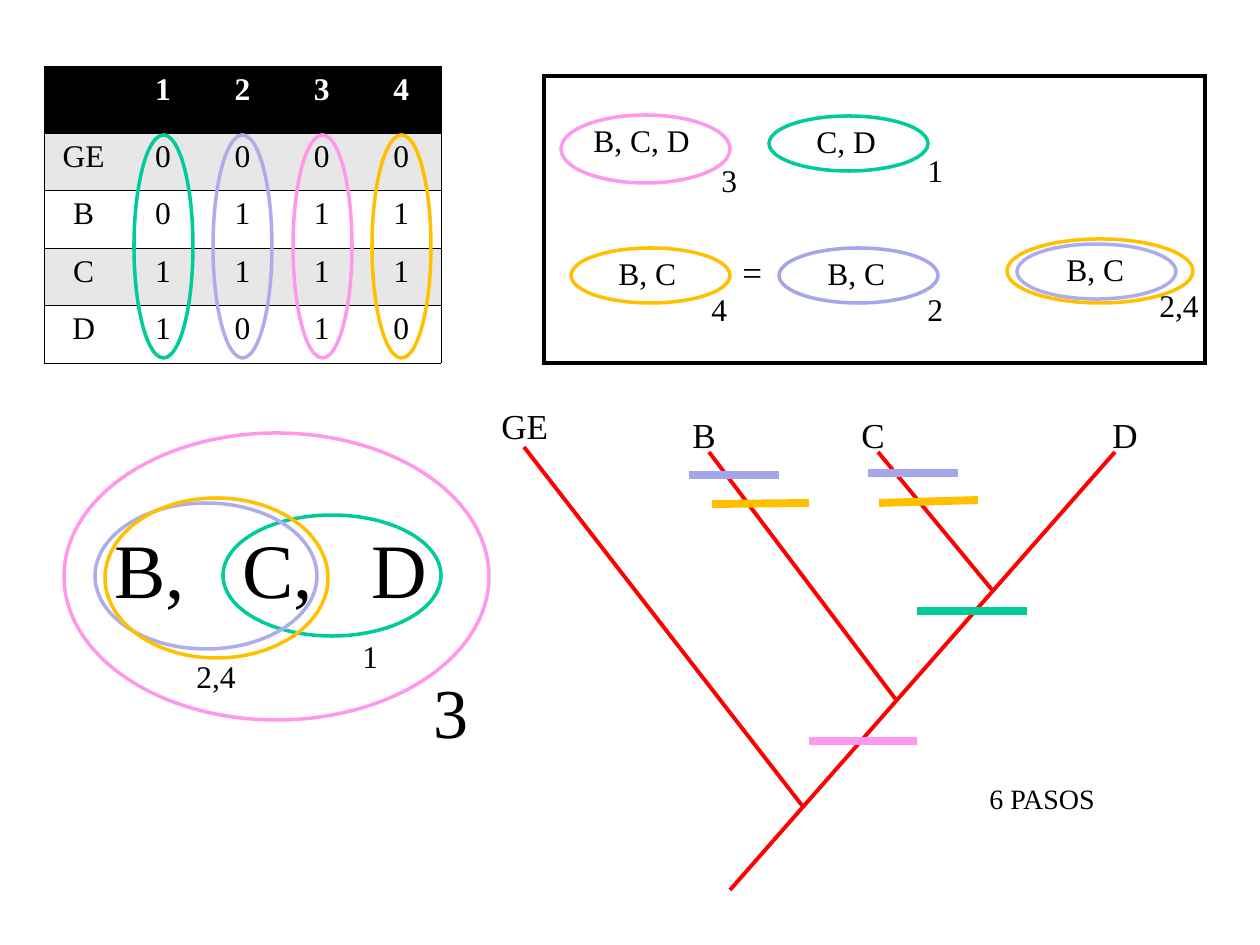
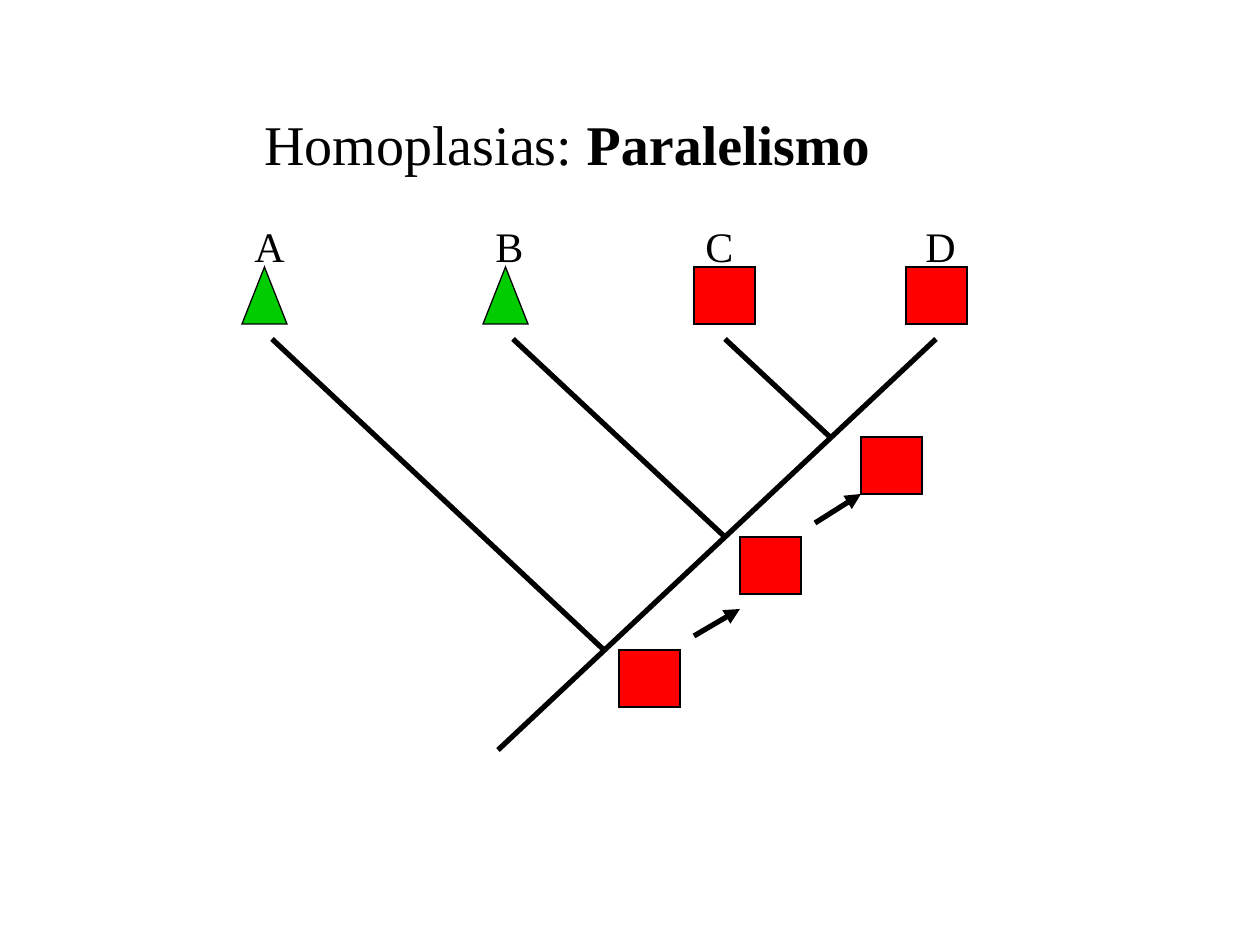
from lxml import etree
from pptx import Presentation
from pptx.dml.color import RGBColor
from pptx.enum.shapes import MSO_CONNECTOR, MSO_SHAPE
from pptx.enum.text import MSO_AUTO_SIZE, PP_ALIGN
from pptx.oxml.ns import qn
from pptx.util import Emu, Pt

PX = 914400 / 126
FONT = "Times New Roman"
NO_TABLE_STYLE = "{2D5ABB26-0587-4C30-8999-92F81FD0307C}"
TEXT_SLACK = 12

STRAIGHT = MSO_CONNECTOR.STRAIGHT
OVAL = MSO_SHAPE.OVAL
RECTANGLE = MSO_SHAPE.RECTANGLE
TRIANGLE = MSO_SHAPE.ISOSCELES_TRIANGLE
CENTER = PP_ALIGN.CENTER
FIXED_SIZE = MSO_AUTO_SIZE.NONE

BLACK = RGBColor(0x00, 0x00, 0x00)
WHITE = RGBColor(0xFF, 0xFF, 0xFF)
GRAY = RGBColor(0xE7, 0xE7, 0xE7)
RED = RGBColor(0xFF, 0x00, 0x00)
LEAF_GREEN = RGBColor(0x00, 0xCC, 0x00)
GREEN = RGBColor(0x00, 0xCC, 0x99)
LAVENDER = RGBColor(0xA5, 0xA5, 0xE9)
PALE_LAVENDER = RGBColor(0xAD, 0xAD, 0xEB)
PINK = RGBColor(0xFF, 0x98, 0xEC)
ORANGE = RGBColor(0xFF, 0xC0, 0x00)


def px(length):
    return Emu(round(length * PX))


def style_font(font, size, color=BLACK, bold=False):
    font.name = FONT
    font.size = Pt(size)
    font.bold = bold
    font.color.rgb = color


class Region:
    """Draws on a slide with positions relative to its own top left corner."""

    def __init__(self, slide, left, top):
        self.shapes = slide.shapes
        self.left = left
        self.top = top

    def place(self, x, y):
        return px(self.left + x), px(self.top + y)

    def shape(self, kind, box, line_color, line_width=2, fill=None):
        x, y, width, height = box
        shape = self.shapes.add_shape(kind, *self.place(x, y), px(width), px(height))
        shape.shadow.inherit = False
        if fill is None:
            shape.fill.background()
        else:
            shape.fill.solid()
            shape.fill.fore_color.rgb = fill
        shape.line.color.rgb = line_color
        shape.line.width = Pt(line_width)
        line = shape._element.spPr.find(qn("a:ln"))
        etree.SubElement(line, qn("a:miter"), lim="800000")

    def line(self, start, end, color, width, arrow=False):
        connector = self.shapes.add_connector(
            STRAIGHT, *self.place(*start), *self.place(*end))
        connector.line.color.rgb = color
        connector.line.width = Pt(width)
        properties = connector._element.spPr
        if arrow:
            line = properties.find(qn("a:ln"))
            etree.SubElement(line, qn("a:tailEnd"), type="triangle")
        etree.SubElement(properties, qn("a:effectLst"))

    def text(self, x, y, width, size, *runs, tabs=()):
        """Write runs, each a (text, bold) pair, in a box with room for one line."""
        text_box = self.shapes.add_textbox(
            *self.place(x, y), px(width + TEXT_SLACK), px(round(size * 2.1 + 13)))
        frame = text_box.text_frame
        frame.word_wrap = True
        frame.auto_size = FIXED_SIZE
        paragraph = frame.paragraphs[0]
        if tabs:
            tab_list = etree.SubElement(
                paragraph._p.get_or_add_pPr(), qn("a:tabLst"))
            for position in tabs:
                etree.SubElement(
                    tab_list, qn("a:tab"), pos=str(px(position)), algn="l")
        for words, bold in runs:
            run = paragraph.add_run()
            run.text = words
            style_font(run.font, size, bold=bold)

    def label(self, x, y, width, size, words):
        self.text(x, y, width, size, (words, False))


def set_cell_borders(cell, sides):
    properties = cell._tc.get_or_add_tcPr()
    for index, side in enumerate(sides):
        line = etree.Element(qn(f"a:ln{side}"), w=str(Pt(0.45)))
        fill = etree.SubElement(line, qn("a:solidFill"))
        etree.SubElement(fill, qn("a:srgbClr"), val=str(BLACK))
        properties.insert(index, line)


def draw_character_matrix(slide, left, top):
    region = Region(slide, left, top)
    rows = (
        ("", "1", "2", "3", "4"),
        ("GE", "0", "0", "0", "0"),
        ("B", "0", "1", "1", "1"),
        ("C", "1", "1", "1", "1"),
        ("D", "1", "0", "1", "0"),
    )
    row_heights = (67, 57, 58, 57, 58)
    width = 397
    columns = len(rows[0])
    table = region.shapes.add_table(
        len(rows), columns, *region.place(0, 0), px(width), px(sum(row_heights))).table
    table._tbl.tblPr.find(qn("a:tableStyleId")).text = NO_TABLE_STYLE

    for row_index, values in enumerate(rows):
        table.rows[row_index].height = px(row_heights[row_index])
        header = row_index == 0
        fill = BLACK if header else GRAY if row_index % 2 else WHITE
        for column, value in enumerate(values):
            cell = table.cell(row_index, column)
            cell.fill.solid()
            cell.fill.fore_color.rgb = fill
            sides = ["T", "B"]
            if column == 0:
                sides.insert(0, "L")
            elif column == columns - 1:
                sides.insert(0, "R")
            set_cell_borders(cell, sides)
            if value:
                paragraph = cell.text_frame.paragraphs[0]
                paragraph.alignment = CENTER
                run = paragraph.add_run()
                run.text = value
                style_font(run.font, 18, WHITE if header else BLACK, header)

    for column, color in enumerate((GREEN, PALE_LAVENDER, PINK, ORANGE), start=1):
        x = width * column // columns + 11
        region.shape(OVAL, (x, 69, 59, 223), color)


def draw_group_list(slide, left, top):
    region = Region(slide, left, top)
    region.shape(RECTANGLE, (0, 0, 661, 287), BLACK, fill=WHITE)
    for x, y, width, height, color in (
        (17, 39, 169, 68, PINK),
        (225, 40, 159, 55, GREEN),
        (27, 172, 159, 55, ORANGE),
        (235, 172, 159, 55, LAVENDER),
        (473, 168, 159, 55, PALE_LAVENDER),
    ):
        region.shape(OVAL, (x, y, width, height), color, fill=WHITE)
    region.shape(OVAL, (463, 163, 186, 64), ORANGE)

    for x, y, width, taxa in (
        (37, 39, 121, "B, C, D"),
        (260, 40, 84, "C, D"),
        (62, 172, 83, "B, C"),
        (271, 172, 83, "B, C"),
        (510, 168, 83, "B, C"),
        (165, 79, 40, "3"),
        (371, 69, 40, "1"),
        (155, 208, 40, "4"),
        (371, 208, 40, "2"),
        (603, 204, 64, "2,4"),
    ):
        region.label(x, y, width, 18, taxa)
    region.label(186, 168, 44, 20, "=")


def draw_nested_groups(slide, left, top):
    region = Region(slide, left, top)
    region.shape(OVAL, (0, 0, 425, 287), PINK, fill=WHITE)
    region.text(38, 82, 338, 44, ("B,\tC,\tD", False), tabs=(128, 257))
    region.shape(OVAL, (159, 82, 218, 121), GREEN)
    region.shape(OVAL, (31, 70, 222, 146), PALE_LAVENDER)
    region.shape(OVAL, (41, 65, 223, 160), ORANGE)
    region.label(120, 218, 64, 18, "2,4")
    region.label(286, 198, 40, 18, "1")
    region.label(357, 229, 60, 40, "3")


def draw_step_tree(slide, left, top):
    region = Region(slide, left, top)
    for tip, base in (
        ((626, 54), (241, 492)),
        ((35, 49), (315, 410)),
        ((220, 54), (408, 303)),
        ((389, 54), (504, 193)),
    ):
        region.line(base, tip, RED, 2.25)
    for x, y, width, taxon in (
        (0, 0, 72, "GE"),
        (191, 9, 48, "B"),
        (360, 9, 48, "C"),
        (611, 9, 50, "D"),
    ):
        region.label(x, y, width, 20, taxon)
    for start, end, color in (
        ((428, 213), (538, 213), GREEN),
        ((200, 77), (290, 77), LAVENDER),
        ((223, 106), (320, 105), ORANGE),
        ((320, 343), (428, 343), PINK),
        ((390, 105), (489, 102), ORANGE),
        ((379, 75), (469, 75), LAVENDER),
    ):
        region.line(start, end, color, 4.5)
    region.label(488, 377, 132, 16, "6 PASOS")


def draw_parallelism(slide, left, top):
    region = Region(slide, left, top)
    region.text(10, 0, 631, 32, ("Homoplasias: ", False), ("Paralelismo", True))
    tip_y = 236
    for tip_x, base in (
        (694, (256, 647)),
        (30, (362, 547)),
        (271, (483, 434)),
        (483, (588, 334)),
    ):
        region.line(base, (tip_x, tip_y), BLACK, 3)
    for x in (0, 241):
        region.shape(TRIANGLE, (x, 164, 45, 57), BLACK, 0.75, LEAF_GREEN)
    for x, y in ((452, 164), (664, 164), (619, 334), (498, 434), (377, 547)):
        region.shape(RECTANGLE, (x, y, 61, 57), BLACK, 0.75, RED)
    region.line((452, 533), (498, 506), BLACK, 3, arrow=True)
    region.line((573, 420), (619, 391), BLACK, 3, arrow=True)
    for x, width, taxon in ((0, 55, "A"), (241, 53, "B"), (451, 53, "C"), (671, 55, "D")):
        region.label(x, 111, width, 24, taxon)


def main():
    presentation = Presentation()
    presentation.slide_width = px(1260)
    presentation.slide_height = px(945)
    blank = presentation.slide_layouts[6]

    steps_slide = presentation.slides.add_slide(blank)
    draw_character_matrix(steps_slide, 44, 66)
    draw_group_list(steps_slide, 544, 76)
    draw_nested_groups(steps_slide, 64, 433)
    draw_step_tree(steps_slide, 489, 398)

    parallelism_slide = presentation.slides.add_slide(blank)
    draw_parallelism(parallelism_slide, 242, 103)

    presentation.save("out.pptx")


if __name__ == "__main__":
    main()
